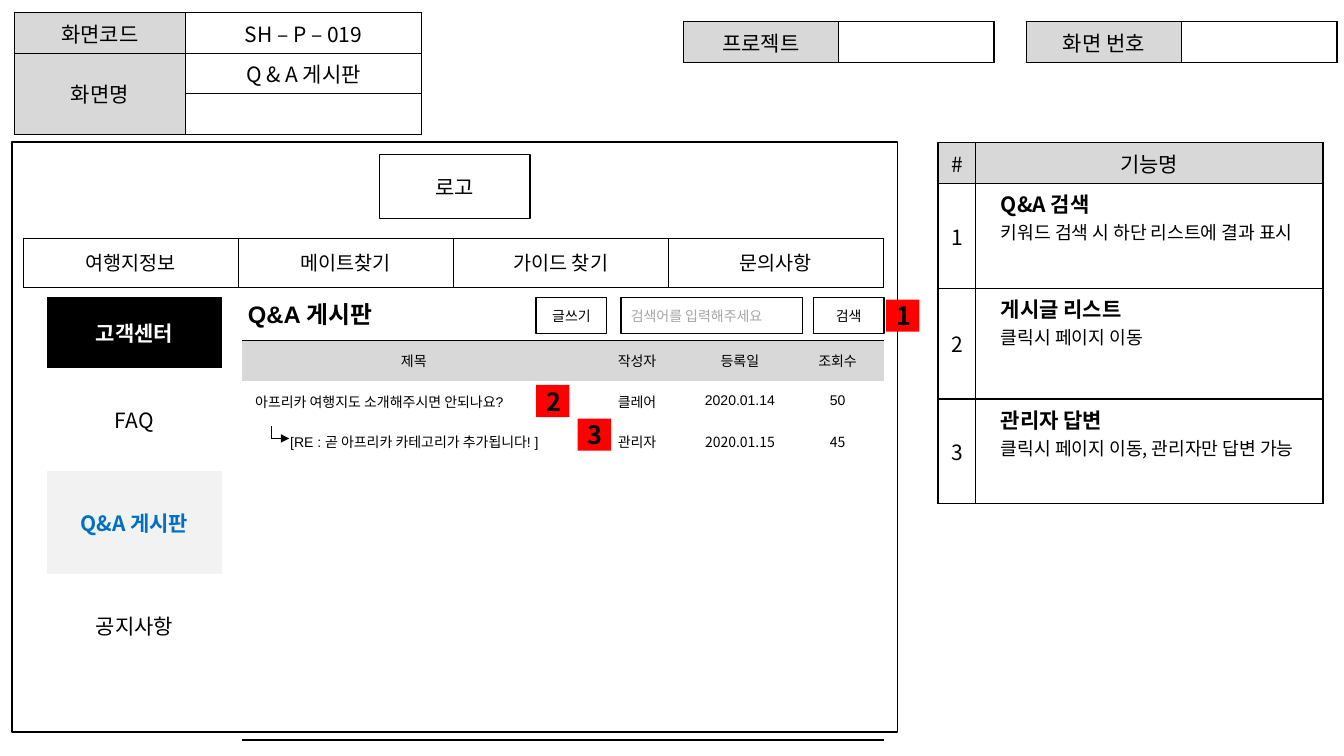
from dataclasses import dataclass, replace
from typing import Any

from lxml.etree import SubElement
from pptx import Presentation
from pptx.dml.color import RGBColor
from pptx.enum.shapes import MSO_CONNECTOR, MSO_SHAPE
from pptx.enum.text import MSO_ANCHOR as Anchor, PP_ALIGN as Align
from pptx.oxml import parse_xml
from pptx.oxml.ns import nsdecls, qn
from pptx.util import Pt

COLORS = {"black": "000000", "white": "FFFFFF", "gray": "D8D8D8", "pale": "F2F2F2",
          "hint": "A5A5A5", "blue": "0070C0", "red": "FF0000"}
NOTO = "Noto Sans CJK KR"
ARIAL = "Arial"


@dataclass(frozen=True)
class Style:
    size: float = 15
    color: str = "black"
    bold: bool = False
    font: str = NOTO
    align: Any = Align.CENTER


@dataclass(frozen=True)
class Cell:
    lines: tuple[str, ...] = ("",)
    styles: tuple[Style, ...] = (Style(),)
    fill: str | None = "white"
    anchor: Any = Anchor.MIDDLE
    left: float = 7.2


@dataclass(frozen=True)
class Grid:
    left: float
    top: float
    columns: list[float]
    rows: list[float]
    cells: list[list[Cell]]
    border: float = 0
    pad: float = 3.6


@dataclass(frozen=True)
class Box:
    left: float
    top: float
    width: float
    height: float
    text: str = ""
    style: Style = Style()
    fill: str = "white"
    outlined: bool = True


def rgb(name: str) -> RGBColor:
    return RGBColor.from_string(COLORS[name])


def write(frame: Any, lines: tuple[str, ...], styles: tuple[Style, ...]) -> None:
    for index, (line, style) in enumerate(zip(lines, styles)):
        para = frame.paragraphs[0] if index == 0 else frame.add_paragraph()
        para.text = line
        para.alignment = style.align
        font = para.font
        font.size, font.bold, font.name = Pt(style.size), style.bold, style.font
        font.color.rgb = rgb(style.color)
        defaults = para._p.get_or_add_pPr().find(qn("a:defRPr"))
        SubElement(defaults, qn("a:ea")).set("typeface", NOTO)


def set_borders(cell: Any, widths: dict[str, float]) -> None:
    properties = cell._tc.get_or_add_tcPr()
    for index, side in enumerate("LRTB"):
        width = widths.get(side, 0)
        paint = (f'<a:solidFill><a:srgbClr val="{COLORS["black"]}"/></a:solidFill>'
                 if width else "<a:noFill/>")
        properties.insert(index, parse_xml(
            f'<a:ln{side} {nsdecls("a")} w="{Pt(width)}">{paint}</a:ln{side}>'))


def draw_grid(page: Any, grid: Grid) -> Any:
    table = page.shapes.add_table(
        len(grid.rows), len(grid.columns), Pt(grid.left), Pt(grid.top),
        Pt(sum(grid.columns)), Pt(sum(grid.rows))).table
    table.first_row = table.horz_banding = False
    for column, width in zip(table.columns, grid.columns):
        column.width = Pt(width)
    for row, height, contents in zip(table.rows, grid.rows, grid.cells):
        row.height = Pt(height)
        for cell, content in zip(row.cells, contents):
            cell.margin_left, cell.margin_right = Pt(content.left), Pt(7.2)
            cell.margin_top = cell.margin_bottom = Pt(grid.pad)
            cell.vertical_anchor = content.anchor
            if content.fill:
                cell.fill.solid()
                cell.fill.fore_color.rgb = rgb(content.fill)
            else:
                cell.fill.background()
            write(cell.text_frame, content.lines, content.styles)
            set_borders(cell, dict.fromkeys("LRTB", grid.border))
    return table


def draw_box(page: Any, box: Box) -> None:
    shape = page.shapes.add_shape(MSO_SHAPE.RECTANGLE, Pt(box.left), Pt(box.top),
                                  Pt(box.width), Pt(box.height))
    shape.shadow.inherit = False
    shape.fill.solid()
    shape.fill.fore_color.rgb = rgb(box.fill)
    if box.outlined:
        shape.line.color.rgb = rgb("black")
        shape.line.width = Pt(1)
    else:
        shape.line.fill.background()
    if box.text:
        shape.text_frame.vertical_anchor = Anchor.MIDDLE
        write(shape.text_frame, (box.text,), (box.style,))


def draw_line(page: Any, start: tuple[float, float], end: tuple[float, float],
              arrow: bool = False) -> None:
    line = page.shapes.add_connector(MSO_CONNECTOR.STRAIGHT, *map(Pt, start + end))
    line.line.color.rgb = rgb("black")
    line.line.width = Pt(0.75)
    if arrow:
        SubElement(line.line._get_or_add_ln(), qn("a:tailEnd")).set("type", "triangle")
    SubElement(line._element.spPr, qn("a:effectLst"))


def label(text: str, fill: str | None = "white", style: Style = Style(), **options: Any) -> Cell:
    return Cell((text,), (style,), fill, **options)


deck = Presentation()
deck.slide_width, deck.slide_height = Pt(960), Pt(540)
page = deck.slides.add_slide(deck.slide_layouts[6])

# Header tables
screen = draw_grid(page, Grid(10.3, 9, [122, 169], [29] * 3, [
    [label("화면코드", "gray"), label("SH – P – 019")],
    [label("화면명", "gray"), label("Q & A 게시판")],
    [label("", "gray"), label("")]], border=1))
screen.cell(1, 0).merge(screen.cell(2, 0))
for left, title in ((733, "화면 번호"), (488, "프로젝트")):
    draw_grid(page, Grid(left, 15.5, [111] * 2, [29],
                         [[label(title, "gray"), label("")]], border=1))

# Screen frame and logo placeholder
draw_box(page, Box(8.6, 101.5, 632.4, 421.3))
draw_box(page, Box(271.2, 110.3, 107.5, 46, "로고"))

# Feature descriptions
left_bold = Style(bold=True, align=Align.LEFT)
detail = Style(13, align=Align.LEFT)
features = [("Q&A 검색", "키워드 검색 시 하단 리스트에 결과 표시"),
            ("게시글 리스트", "클릭시 페이지 이동"),
            ("관리자 답변", "클릭시 페이지 이동, 관리자만 답변 가능")]
draw_grid(page, Grid(670, 101.8, [27, 248], [29.3, 75, 79, 74.5], [
    [label("#", "gray"), label("기능명", "gray")],
    *([label(str(number)), Cell(lines, (left_bold, detail), anchor=Anchor.TOP, left=18)]
      for number, lines in enumerate(features, 1))], border=1))

# Navigation bar
draw_grid(page, Grid(16.6, 170, [153.6] * 4, [35.5], [
    [label(text, None, Style(14), anchor=Anchor.TOP)
     for text in ("여행지정보", "메이트찾기", "가이드 찾기", "문의사항")]],
    border=0.75, pad=7.2))

# Post list
small = Style(10)
small_arial = Style(10, font=ARIAL)
question = replace(small_arial, align=Align.LEFT)
posts = [
    [label(text, "gray", small, anchor=Anchor.TOP) for text in ("제목", "작성자", "등록일", "조회수")],
    [label("아프리카 여행지도 소개해주시면 안되나요?", None, question, left=9.5),
     *(label(text, None, small_arial) for text in ("클레어", "2020.01.14", "50"))],
    [label("[RE : 곧 아프리카 카테고리가 추가됩니다! ]", None, question, anchor=Anchor.TOP, left=34.5),
     *(label(text, None, small, anchor=Anchor.TOP) for text in ("관리자", "2020.01.15", "45"))],
    *([label("", None, small_arial)] * 4 for _ in range(7))]
post_list = draw_grid(page, Grid(172.8, 243.3, [245.5, 73.5, 73.5, 66], [28.43] * 10,
                                 posts, pad=7.2))
for row, side in ((0, "T"), (9, "B")):
    for cell in post_list.rows[row].cells:
        properties = cell._tc.tcPr
        for edge in "LRTB":
            properties.remove(properties.find(qn(f"a:ln{edge}")))
        set_borders(cell, {side: 1})

# Board title
title = page.shapes.add_textbox(Pt(167), Pt(210.5), Pt(109), Pt(28)).text_frame
title.word_wrap = True
write(title, ("Q&A 게시판",), (Style(17, bold=True, font=ARIAL),))

# Side menu
draw_grid(page, Grid(33.6, 212.4, [124.8], [50.4] + [73.6] * 3, [
    [label("고객센터", "black", Style(color="white", bold=True))],
    [label("FAQ", None)],
    [label("Q&A 게시판", "pale", Style(color="blue", bold=True))],
    [label("공지사항")]], pad=7.2))

# Search controls
for left, width, text, style in (
        (383, 50.4, "글쓰기", small),
        (443.5, 129.6, "검색어를 입력해주세요", Style(10, "hint", align=Align.LEFT)),
        (581, 50.4, "검색", small)):
    draw_box(page, Box(left, 212.4, width, 26, text, style))

# Reply arrow
draw_line(page, (193.7, 313.2), (206.6, 313.2), arrow=True)
draw_line(page, (193.7, 313.2), (193.7, 304.6))

# Numbered markers
for number, left, top in ((1, 633, 214), (3, 412.7, 299), (2, 383, 275)):
    draw_box(page, Box(left, top, 23.8, 23, str(number), Style(18, bold=True), "red", False))

deck.save("out.pptx")
